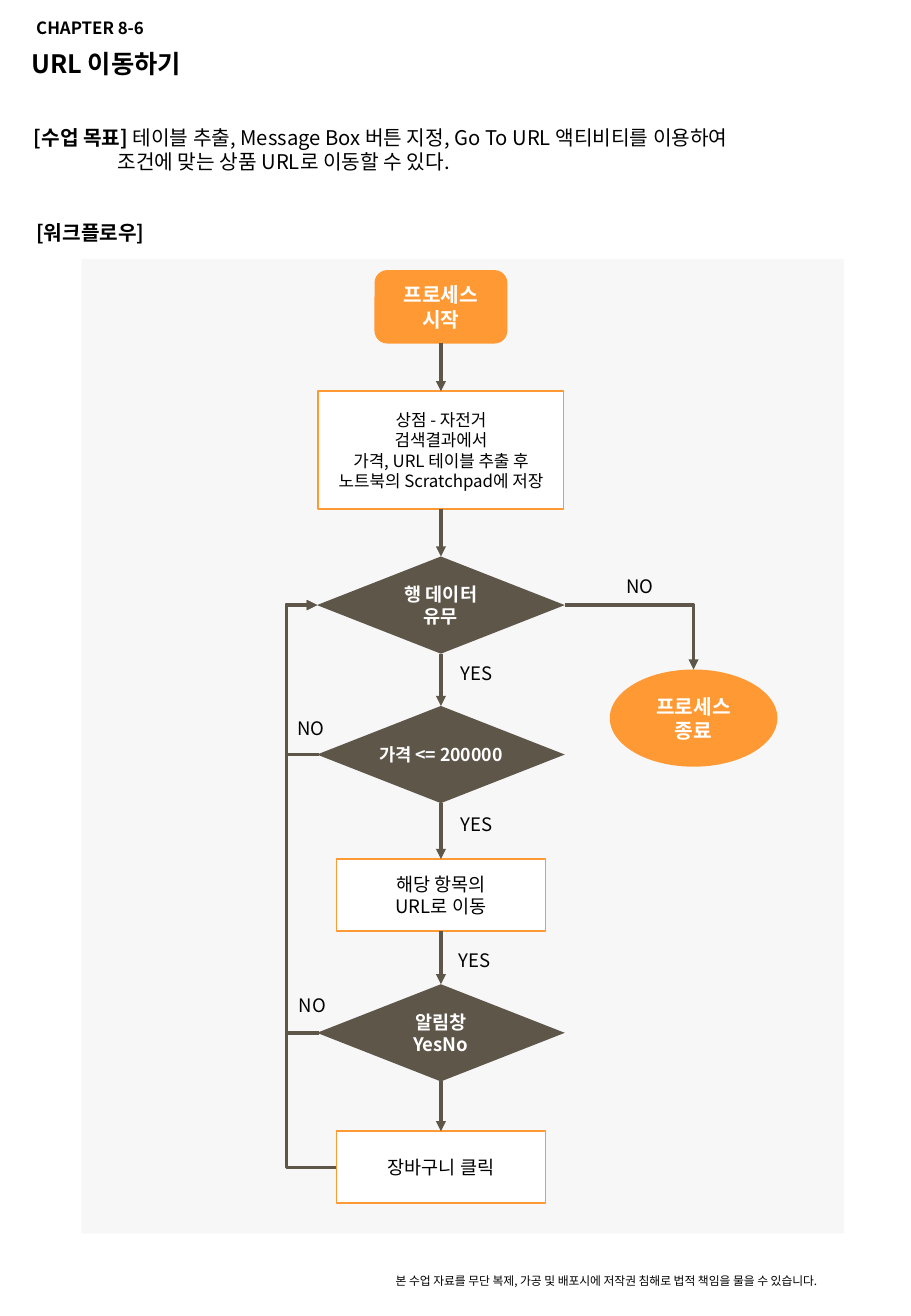
from lxml import etree
from pptx import Presentation
from pptx.dml.color import RGBColor
from pptx.enum.shapes import MSO_CONNECTOR, MSO_SHAPE
from pptx.enum.text import MSO_ANCHOR, PP_ALIGN
from pptx.oxml.ns import qn
from pptx.util import Pt

PX = 9144
STRAIGHT, ELBOW = MSO_CONNECTOR.STRAIGHT, MSO_CONNECTOR.ELBOW
BOX = MSO_SHAPE.FLOWCHART_PROCESS
ROUND = MSO_SHAPE.FLOWCHART_ALTERNATE_PROCESS
CHOICE = MSO_SHAPE.FLOWCHART_DECISION
OVAL = MSO_SHAPE.OVAL
LEFT, CENTER = PP_ALIGN.LEFT, PP_ALIGN.CENTER
TOP, MIDDLE = MSO_ANCHOR.TOP, MSO_ANCHOR.MIDDLE

THEME = {
    "font": "Noto Sans CJK KR",
    "black": "000000", "white": "FFFFFF", "gray": "F2F2F2",
    "orange": "FF9933", "brown": "5F564A",
    "title": 15, "head": 12, "label": 11, "price": 10.5, "body": 10, "foot": 7,
}


def write(shape, text, size="label", color="black", bold=False, align=LEFT,
          anchor=TOP, wrap=True, lead="", indent=0):
    frame = shape.text_frame
    frame.word_wrap = wrap
    frame.vertical_anchor = anchor
    for row, line in enumerate(text.split("\n")):
        para = frame.add_paragraph() if row else frame.paragraphs[0]
        para.alignment = align
        if row and indent:
            para._p.get_or_add_pPr().set("marL", str(indent * PX))
        parts = [(line, bold)]
        if lead and not row:
            parts.insert(0, (lead, True))
        for part, heavy in parts:
            run = para.add_run()
            run.text = part
            run.font.size = Pt(THEME[size])
            run.font.bold = heavy
            run.font.color.rgb = RGBColor.from_string(THEME[color])
            run.font.name = THEME["font"]
            east = etree.SubElement(run.font._element, qn("a:ea"))
            east.set("typeface", THEME["font"])


def wire(kind, *ends):
    line = slide.shapes.add_connector(kind, *[end * PX for end in ends])
    line.line.color.rgb = RGBColor.from_string(THEME["brown"])
    line.line.width = Pt(2)
    tail = etree.SubElement(line.line._get_or_add_ln(), qn("a:tailEnd"))
    tail.set("type", "triangle")
    etree.SubElement(line._element.spPr, qn("a:effectLst"))
    return line


deck = Presentation()
deck.slide_width, deck.slide_height = 750 * PX, 1083 * PX
slide = deck.slides.add_slide(deck.slide_layouts[6])

texts = [
    (16, 35, 359, 35, "URL 이동하기", {"size": "title", "bold": True}),
    (20, 10, 129, 27, "CHAPTER 8-6", {"size": "body", "bold": True}),
    (316, 1043, 413, 21,
     "본 수업 자료를 무단 복제, 가공 및 배포시에 저작권 침해로 법적 책임을 물을 수 있습니다.",
     {"size": "foot"}),
    (18, 98, 680, 50,
     "테이블 추출, Message Box 버튼 지정, Go To URL 액티비티를 이용하여\n"
     "조건에 맞는 상품 URL로 이동할 수 있다.",
     {"size": "head", "lead": "[수업 목표] ", "indent": 69}),
    (20, 176, 680, 30, "[워크플로우]", {"size": "head", "bold": True}),
]

AXIS, EXIT = 363, 571
light = {"color": "white", "bold": True}
nodes = [
    (BOX, 381, 213, 628, 802, "gray", None, "", {}),
    (OVAL, EXIT, 551, 138, 80, "orange", None, "프로세스 종료",
     {"size": "head", **light}),
    (ROUND, AXIS, 223, 108, 59, "orange", "orange", "프로세스\n시작",
     {"size": "head", **light}),
    (BOX, AXIS, 322, 202, 97, "white", "orange",
     "상점 - 자전거\n검색결과에서\n가격, URL 테이블 추출 후\n노트북의 Scratchpad에 저장",
     {"size": "body"}),
    (CHOICE, AXIS, 458, 204, 80, "brown", None, "행 데이터\n유무", light),
    (CHOICE, AXIS, 581, 204, 80, "brown", None, "가격 <= 200000",
     {"size": "price", "wrap": False, **light}),
    (BOX, AXIS, 707, 172, 59, "white", "orange", "해당 항목의\nURL로 이동", {}),
    (CHOICE, AXIS, 810, 204, 80, "brown", None, "알림창\nYesNo", light),
    (BOX, AXIS, 931, 172, 59, "white", "orange", "장바구니 클릭", {}),
]

shapes = []
for kind, mid, top, wide, high, fill, edge, text, style in nodes:
    shape = slide.shapes.add_shape(
        kind, (mid - wide // 2) * PX, top * PX, wide * PX, high * PX)
    shape.shadow.inherit = False
    shape.fill.solid()
    shape.fill.fore_color.rgb = RGBColor.from_string(THEME[fill])
    if edge:
        shape.line.color.rgb = RGBColor.from_string(THEME[edge])
        shape.line.width = Pt(1)
    else:
        shape.line.fill.background()
    if text:
        write(shape, text, align=CENTER, anchor=MIDDLE, **style)
    shapes.append(shape)

panel, final, *steps = shapes
tint = panel._element.spPr.find(qn("a:solidFill"))[0]
etree.SubElement(tint, qn("a:alpha")).set("val", "54000")

for above, below in zip(steps, steps[1:]):
    arrow = wire(STRAIGHT, AXIS, 0, AXIS, 10)
    arrow.begin_connect(above, 2)
    arrow.end_connect(below, 0)

leave = wire(ELBOW, 465, 498, EXIT, 551)
leave._element.spPr.find(qn("a:prstGeom")).set("prst", "bentConnector2")

BACK, RAIL = 261, 236
for start, level in [(277, 961), (263, 850), (263, 621)]:
    loop = wire(ELBOW, start, level, BACK, 498)
    ratio = 100000 * (start - RAIL) // (start - BACK)
    guide = etree.SubElement(loop._element.spPr.find(qn("a:prstGeom"))[0], qn("a:gd"))
    guide.set("name", "adj1")
    guide.set("fmla", f"val {ratio}")

labels = [
    (506, 468, "NO"), (236, 813, "NO"), (235, 585, "NO"),
    (369, 540, "YES"), (369, 664, "YES"), (368, 776, "YES"),
]
texts += [(left, top, 49, 29, word, {}) for left, top, word in labels]
for left, top, wide, high, text, style in texts:
    area = slide.shapes.add_textbox(left * PX, top * PX, wide * PX, high * PX)
    write(area, text, **style)

deck.save("out.pptx")
